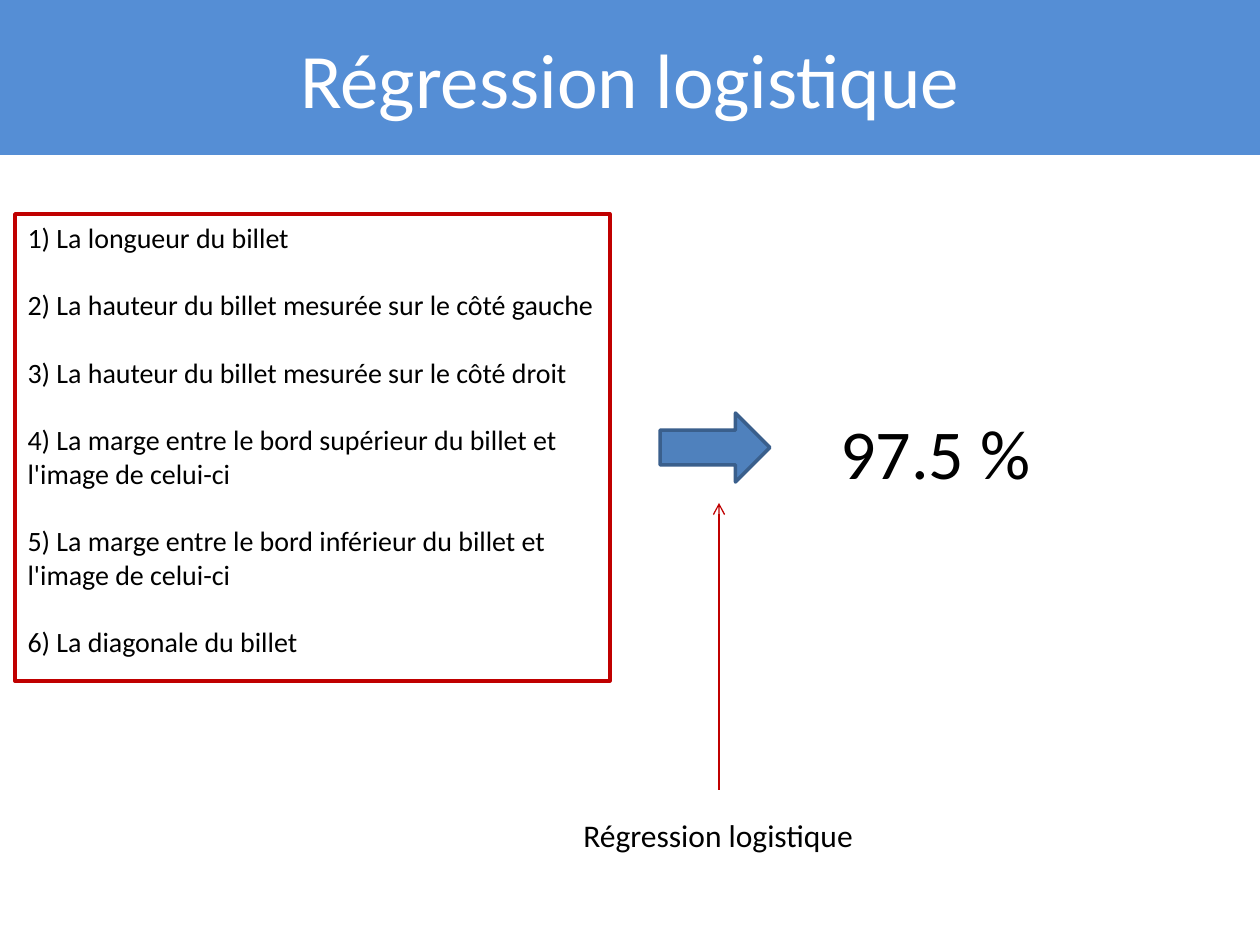
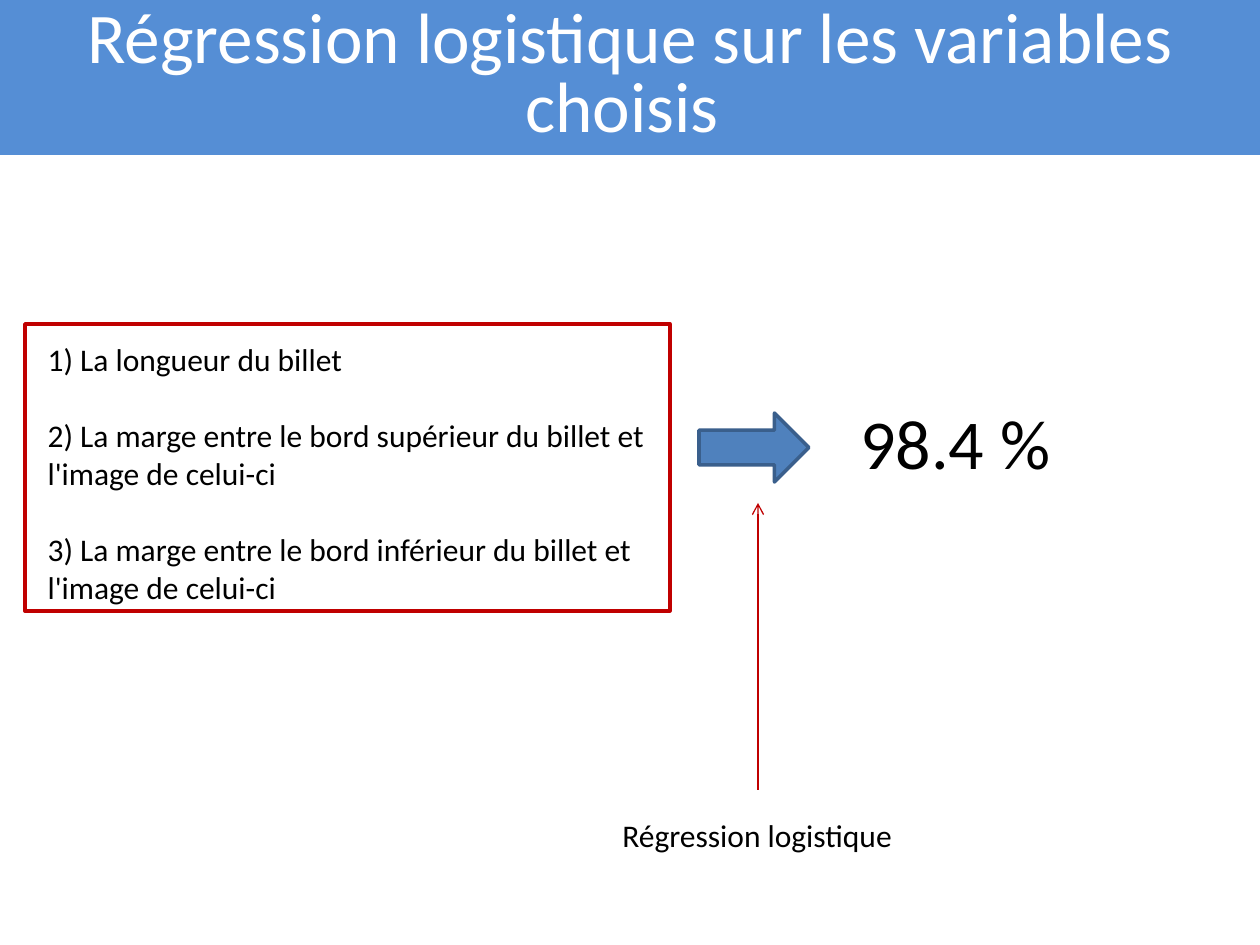
from dataclasses import dataclass

import pptx
import pptx.dml.color
import pptx.enum.shapes
import pptx.enum.text
import pptx.oxml.ns
import pptx.util
from lxml import etree

PX = pptx.util.Inches(1) / 126
FONT = "Calibri"
BLUE, WHITE, BLACK, RED = "558ED5", "FFFFFF", "000000", "C00000"
ARROW_FILL, ARROW_LINE = "4F81BD", "3A5F8C"
MSO_SHAPE = pptx.enum.shapes.MSO_SHAPE
ANCHOR = pptx.enum.text.MSO_ANCHOR


@dataclass(frozen=True)
class Box:
    left: int
    top: int
    width: int
    height: int

    def emu(self) -> list[int]:
        return [px(v) for v in (self.left, self.top, self.width, self.height)]


@dataclass(frozen=True)
class Model:
    title: str
    title_size: float
    title_spacing: float
    variables: list[str]
    size: int
    list_box: Box
    frame: Box
    flow_left: int
    score: str
    score_box: Box


BAND = Box(0, 0, 1260, 155)

MODELS = [
    Model(
        "Régression logistique", 44, 1.0,
        [
            "La longueur du billet",
            "La hauteur du billet mesurée sur le côté gauche",
            "La hauteur du billet mesurée sur le côté droit",
            "La marge entre le bord supérieur du billet et l'image de celui-ci",
            "La marge entre le bord inférieur du billet et l'image de celui-ci",
            "La diagonale du billet",
        ],
        16, Box(15, 214, 630, 454), Box(15, 214, 595, 467),
        660, "97.5 %", Box(828, 403, 307, 97),
    ),
    Model(
        "Régression logistique sur les variables choisis ", 40.7, 0.8,
        [
            "La longueur du billet",
            "La marge entre le bord supérieur du billet et l'image de celui-ci",
            "La marge entre le bord inférieur du billet et l'image de celui-ci",
        ],
        18, Box(35, 334, 630, 280), Box(25, 324, 645, 287),
        699, "98.4 %", Box(848, 393, 307, 97),
    ),
]


def px(value: int) -> int:
    return round(value * PX)


def rgb(color: str) -> pptx.dml.color.RGBColor:
    return pptx.dml.color.RGBColor.from_string(color)


def place(sp, box: Box) -> None:
    sp.left, sp.top, sp.width, sp.height = box.emu()


def prepare(tf, anchor) -> None:
    """Wrap the text at its given size, without automatic fitting."""
    tf.word_wrap = True
    tf.auto_size = pptx.enum.text.MSO_AUTO_SIZE.NONE
    tf.vertical_anchor = anchor


def add_run(p, text: str, size: float, color: str = BLACK) -> None:
    r = p.add_run()
    r.text = text
    r.font.name = FONT
    r.font.size = pptx.util.Pt(size)
    r.font.color.rgb = rgb(color)


def set_line(line, color: str, width: float) -> None:
    line.color.rgb = rgb(color)
    line.width = pptx.util.Pt(width)


def fill_title(sp, model: Model) -> None:
    place(sp, BAND)
    sp.fill.solid()
    sp.fill.fore_color.rgb = rgb(BLUE)
    prepare(sp.text_frame, ANCHOR.MIDDLE)
    p = sp.text_frame.paragraphs[0]
    p.alignment = pptx.enum.text.PP_ALIGN.CENTER
    p.line_spacing = model.title_spacing
    add_run(p, model.title, model.title_size, WHITE)


def fill_variables(sp, model: Model) -> None:
    """Number the variables, one line of space between them."""
    place(sp, model.list_box)
    tf = sp.text_frame
    prepare(tf, ANCHOR.TOP)
    for number, variable in enumerate(model.variables, 1):
        p = tf.paragraphs[0] if number == 1 else tf.add_paragraph()
        p.space_before = pptx.util.Pt(0 if number == 1 else 1.21 * model.size)
        pPr = p._p.get_or_add_pPr()
        pPr.set("marL", "0")
        pPr.set("indent", "0")
        etree.SubElement(pPr, pptx.oxml.ns.qn("a:buNone"))
        add_run(p, f"{number}) {variable}", model.size)


def add_shape(slide, kind, box: Box, line: str, fill: str | None = None) -> None:
    sp = slide.shapes.add_shape(kind, *box.emu())
    sp.shadow.inherit = False
    set_line(sp.line, line, 2)
    if fill:
        sp.fill.solid()
        sp.fill.fore_color.rgb = rgb(fill)
    else:
        sp.fill.background()


def add_text(slide, box: Box, text: str, size: int) -> None:
    tf = slide.shapes.add_textbox(*box.emu()).text_frame
    prepare(tf, ANCHOR.TOP)
    add_run(tf.paragraphs[0], text, size)


def add_pointer(slide, x: int, bottom: int, top: int) -> None:
    """Draw a thin vertical line with an open head at its top."""
    cxn = slide.shapes.add_connector(
        pptx.enum.shapes.MSO_CONNECTOR.STRAIGHT, px(x), px(bottom), px(x), px(top)
    )
    set_line(cxn.line, RED, 0.75)
    ln = cxn.line._get_or_add_ln()
    etree.SubElement(ln, pptx.oxml.ns.qn("a:tailEnd"), type="arrow")
    etree.SubElement(cxn._element.spPr, pptx.oxml.ns.qn("a:effectLst"))


def add_model(prs, model: Model) -> None:
    slide = prs.slides.add_slide(prs.slide_layouts[1])
    fill_title(slide.shapes.title, model)
    fill_variables(slide.placeholders[1], model)
    add_shape(slide, MSO_SHAPE.RECTANGLE, model.frame, RED)
    x = model.flow_left
    add_shape(slide, MSO_SHAPE.RIGHT_ARROW, Box(x, 413, 110, 69), ARROW_LINE, ARROW_FILL)
    add_text(slide, model.score_box, model.score, 40)
    add_text(slide, Box(x - 89, 810, 387, 50), "Régression logistique", 18)
    add_pointer(slide, x + 59, 790, 503)


def main() -> None:
    prs = pptx.Presentation()
    prs.slide_width, prs.slide_height = px(1260), px(945)
    for model in MODELS:
        add_model(prs, model)
    prs.save("out.pptx")


if __name__ == "__main__":
    main()
